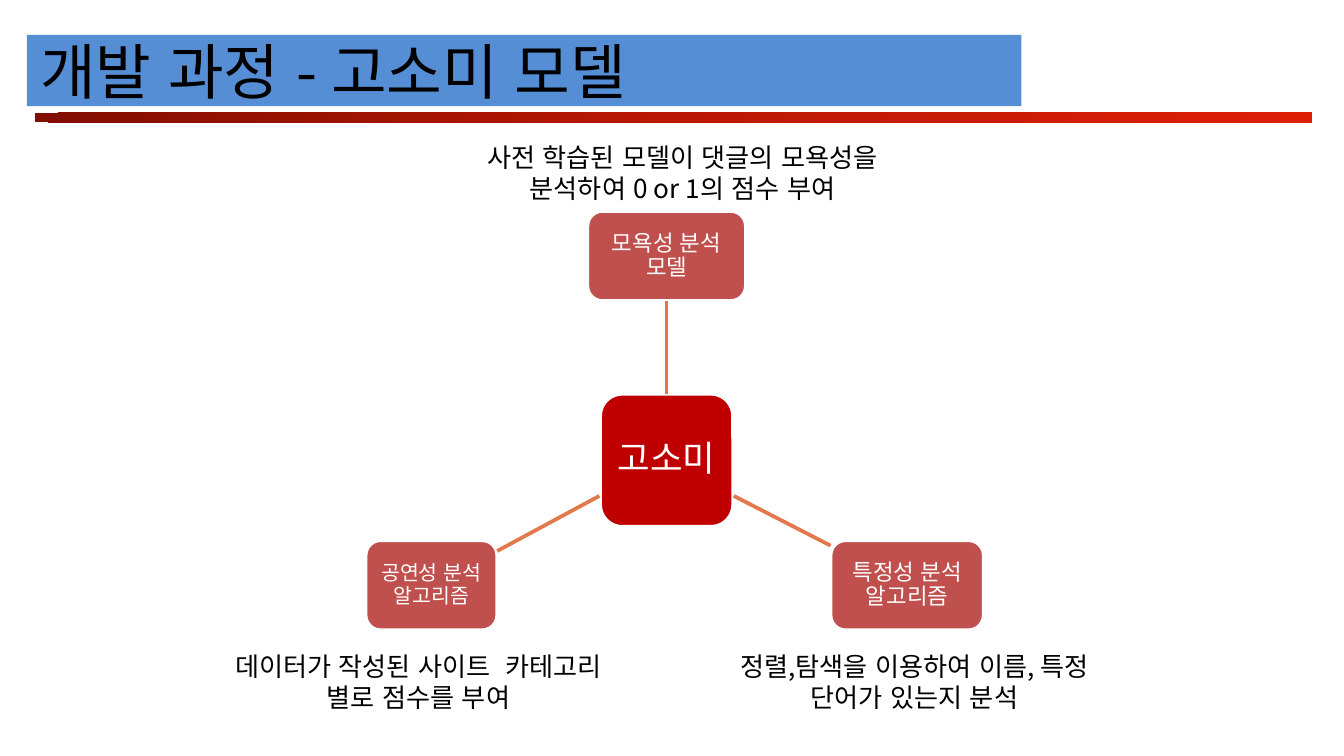
from dataclasses import dataclass
from typing import Optional

from lxml import etree
from pptx import Presentation
from pptx.dml.color import RGBColor
from pptx.enum.lang import MSO_LANGUAGE_ID
from pptx.enum.shapes import MSO_CONNECTOR, MSO_SHAPE
from pptx.enum.text import MSO_ANCHOR, PP_ALIGN
from pptx.oxml.ns import qn
from pptx.util import Inches, Pt

RECT, ROUNDED = MSO_SHAPE.RECTANGLE, MSO_SHAPE.ROUNDED_RECTANGLE
STRAIGHT = MSO_CONNECTOR.STRAIGHT
LEFT, CENTER = PP_ALIGN.LEFT, PP_ALIGN.CENTER
TOP, MIDDLE = MSO_ANCHOR.TOP, MSO_ANCHOR.MIDDLE
KOREAN = MSO_LANGUAGE_ID.KOREAN

FONT = "Noto Sans CJK KR"
BLACK = RGBColor(0x00, 0x00, 0x00)
WHITE = RGBColor(0xFF, 0xFF, 0xFF)
BLUE = RGBColor(0x55, 0x8E, 0xD5)
HUB_RED = RGBColor(0xC0, 0x00, 0x00)
NODE_RED = RGBColor(0xC0, 0x50, 0x4D)
ORANGE = RGBColor(0xE2, 0x79, 0x4C)
RULE_DARK = RGBColor(0x81, 0x0E, 0x00)
RULE_MID = RGBColor(0xBA, 0x18, 0x03)
RULE_BRIGHT = RGBColor(0xDD, 0x1F, 0x06)


@dataclass
class Box:
    text: str
    left: float
    top: float
    width: float
    height: float
    size: float


@dataclass
class Node:
    box: Box
    note: Box
    start: tuple[float, float]
    end: tuple[float, float]
    joins: Optional[tuple[int, int]] = None


def place(box: Box) -> list:
    return [Inches(v) for v in (box.left, box.top, box.width, box.height)]


def write(sp, box: Box, color: RGBColor, align, anchor, inset=None, spacing=None) -> None:
    tf = sp.text_frame
    frame_format = {"word_wrap": True, "vertical_anchor": anchor}
    if inset is not None:
        for side in ("left", "top", "right", "bottom"):
            frame_format[f"margin_{side}"] = Inches(inset)
    for name, value in frame_format.items():
        setattr(tf, name, value)
    p = tf.paragraphs[0]
    p.alignment = align
    if spacing:
        p.line_spacing = spacing
    r = p.add_run()
    r.text = box.text
    font_format = {"name": FONT, "size": Pt(box.size), "language_id": KOREAN}
    for name, value in font_format.items():
        setattr(r.font, name, value)
    r.font.color.rgb = color
    # Hangul takes the East Asian typeface
    etree.SubElement(r.font._element, qn("a:ea"), typeface=FONT)


def add_block(s, kind, box: Box, fill: RGBColor, outlined: bool = False):
    sp = s.shapes.add_shape(kind, *place(box))
    sp.shadow.inherit = False
    sp.fill.solid()
    sp.fill.fore_color.rgb = fill
    if outlined:
        sp.line.color.rgb = WHITE
        sp.line.width = Pt(2)
    else:
        sp.line.fill.background()
    return sp


def add_rounded(s, box: Box, fill: RGBColor, inset: float):
    sp = add_block(s, ROUNDED, box, fill, outlined=True)
    write(sp, box, WHITE, CENTER, MIDDLE, inset, 0.9)
    return sp


def add_rule(s, box: Box) -> None:
    sp = add_block(s, RECT, box, RULE_DARK)
    sp.fill.gradient()
    sp.fill.gradient_angle = 315
    stops = sp.fill.gradient_stops
    for stop, color, position in zip(stops, (RULE_DARK, RULE_BRIGHT), (0, 1)):
        stop.color.rgb = color
        stop.position = position
    # Middle stop
    stop_list = sp._element.spPr.find(f".//{qn('a:gsLst')}")
    middle = etree.Element(qn("a:gs"), pos="50000")
    etree.SubElement(middle, qn("a:srgbClr"), val=str(RULE_MID))
    stop_list.insert(1, middle)


def add_link(s, node: Node, hub, sp) -> None:
    line = s.shapes.add_connector(STRAIGHT, *[Inches(v) for v in node.start + node.end])
    line.line.color.rgb = ORANGE
    line.line.width = Pt(2)
    etree.SubElement(line._element.spPr, qn("a:effectLst"))
    if node.joins:
        line.begin_connect(hub, node.joins[0])
        line.end_connect(sp, node.joins[1])


def add_note(s, box: Box) -> None:
    write(s.shapes.add_textbox(*place(box)), box, BLACK, CENTER, TOP)


AXIS = 4.96  # shared centre of the hub and the top node
HUB_SIDE = 0.99
RULE = Box("", 0.26, 0.84, 9.5, 0.07, 0)
TITLE = Box("개발 과정 - 고소미 모델", 0.2, 0.26, 7.4, 0.53, 32.4)
HUB = Box("고소미", AXIS - HUB_SIDE / 2, 2.93, HUB_SIDE, HUB_SIDE, 19)
NODES = [
    Node(Box("모욕성 분석 모델", AXIS - 1.18 / 2, 1.57, 1.18, 0.67, 12),
         Box("사전 학습된 모델이 댓글의 모욕성을 분석하여 0 or 1의 점수 부여",
             3.35, 1, 3.46, 0.57, 14),
         (AXIS, 2.93), (AXIS, 2.24), joins=(0, 2)),
    Node(Box("특정성 분석 알고리즘", 6.18, 4.02, 1.14, 0.67, 12),
         Box("정렬,탐색을 이용하여 이름, 특정 단어가 있는지 분석",
             5.31, 4.79, 2.99, 0.57, 14),
         (5.46, 3.69), (6.18, 4.06)),
    Node(Box("공연성 분석 알고리즘", 2.72, 4.02, 0.98, 0.67, 11),
         Box("데이터가 작성된 사이트  카테고리 별로 점수를 부여",
             1.46, 4.79, 3.31, 0.57, 14),
         (4.46, 3.69), (3.7, 4.1)),
]


def main() -> None:
    prs = Presentation()
    # Widescreen 16:9
    prs.slide_width = Inches(10)
    prs.slide_height = prs.slide_width * 9 // 16
    s = prs.slides.add_slide(prs.slide_layouts[6])

    # Heading
    add_rule(s, RULE)
    write(add_block(s, RECT, TITLE, BLUE), TITLE, BLACK, LEFT, MIDDLE)

    # Hub with its linked models
    hub = add_rounded(s, HUB, HUB_RED, 0.05)
    for node in NODES:
        sp = add_rounded(s, node.box, NODE_RED, 0.03)
        add_link(s, node, hub, sp)

    # Explanations
    for node in NODES:
        add_note(s, node.note)

    prs.save("out.pptx")


if __name__ == "__main__":
    main()
